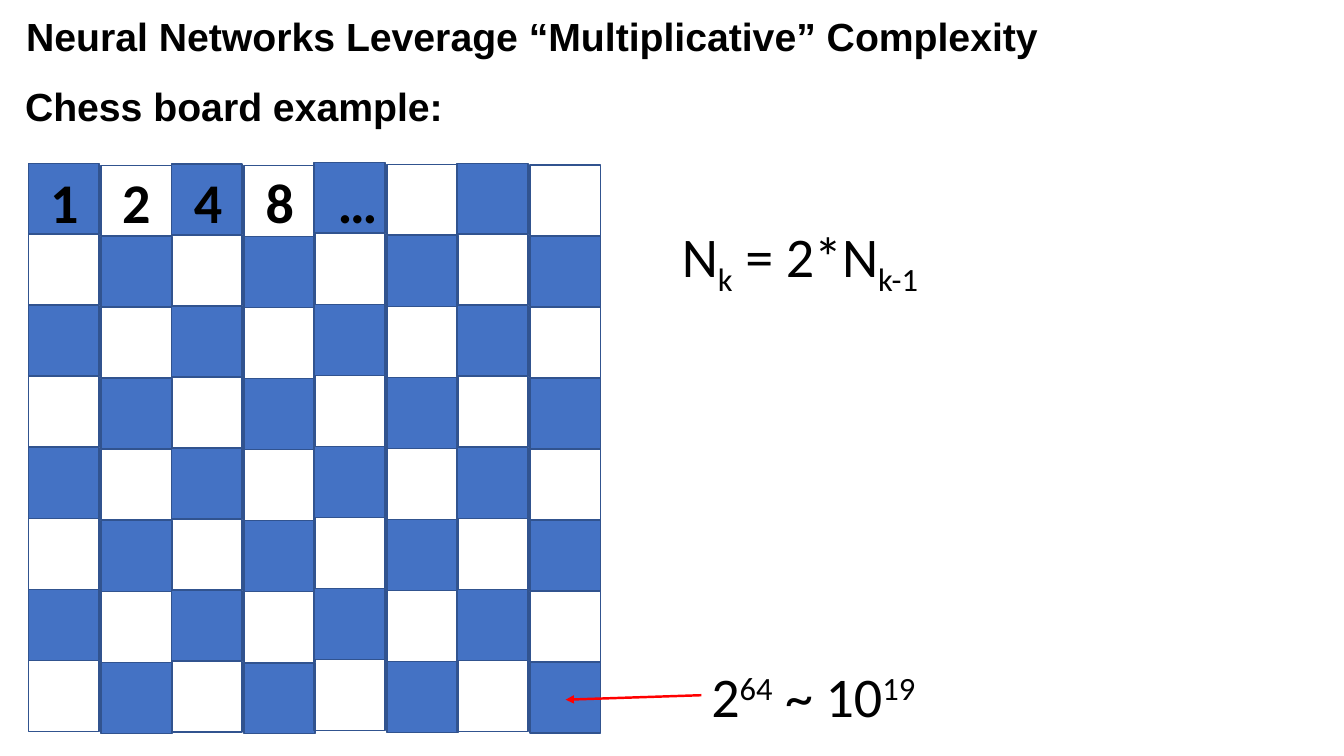
import pptx
import pptx.util
import pptx.dml.color
import pptx.enum.shapes
import pptx.enum.text
import pptx.oxml
import pptx.oxml.ns
from dataclasses import dataclass

Pt = pptx.util.Pt
Color = pptx.dml.color.RGBColor


@dataclass(frozen=True)
class Theme:
    heading_font: str = "Arial"
    body_font: str = "Calibri"
    heading_size: int = 28
    body_size: int = 40
    text: Color = Color(0, 0, 0)
    square: Color = Color(0x44, 0x72, 0xC4)
    outline: Color = Color(0x31, 0x53, 0x8F)
    arrow: Color = Color(0xFF, 0, 0)


theme = Theme()


def place(box, left, top, width, height):
    box.left, box.top, box.width, box.height = Pt(left), Pt(top), Pt(width), Pt(height)
    frame = box.text_frame
    frame.word_wrap = True
    frame.auto_size = pptx.enum.text.MSO_AUTO_SIZE.NONE
    frame.vertical_anchor = pptx.enum.text.MSO_ANCHOR.TOP
    return frame.paragraphs[0]


def style(para, font_name, size, bold):
    para.alignment = pptx.enum.text.PP_ALIGN.LEFT
    para.font.name = font_name
    para.font.size = Pt(size)
    para.font.bold = bold
    para.font.color.rgb = theme.text


deck = pptx.Presentation()
deck.slide_width, deck.slide_height = Pt(960), Pt(540)
page = deck.slides.add_slide(deck.slide_layouts.get_by_name("Title Only"))

# Title and subheading
subheading = page.shapes.add_textbox(0, 0, 0, 0)
for box, left, top, width, wording in [
    (page.shapes.title, 11.5, 5, 929, "Neural Networks Leverage “Multiplicative” Complexity"),
    (subheading, 10.8, 55.4, 541, "Chess board example:"),
]:
    para = place(box, left, top, width, 46)
    para.text = wording
    style(para, theme.heading_font, theme.heading_size, True)

# Chess board: each column sits slightly higher or lower than its neighbours
side, row_pitch, column_pitch = 50.6, 50.75, 51.05
column_tops = [116.6, 118, 117.1, 118.2, 116, 117.4, 116.6, 117.8]
for column, column_top in enumerate(column_tops):
    left = 20.2 + column * column_pitch + column % 2
    for row in range(8):
        square = page.shapes.add_shape(
            pptx.enum.shapes.MSO_SHAPE.RECTANGLE,
            Pt(left), Pt(column_top + row * row_pitch), Pt(side), Pt(side))
        square.shadow.inherit = False
        square.line.color.rgb = theme.outline
        square.line.width = Pt(1)
        if (row + column) % 2 == 0:
            square.fill.solid()
            square.fill.fore_color.rgb = theme.square
        else:
            square.fill.background()

# Doubling counts on the first row
for column, count in enumerate(["1", "2", "4", "8", "…"]):
    box = page.shapes.add_textbox(0, 0, 0, 0)
    para = place(box, 28.8 + column * 51.3, 116, 38, 55.7)
    para.text = count
    style(para, theme.body_font, theme.body_size, True)

# Formulas: each part is paired with its baseline shift in percent
formulas = [
    (480, 154.8, 307, [("N", 0), ("k", -25), (" = 2*N", 0), ("k-1", -25)]),
    (501, 468.7, 245, [("2", 0), ("64", 30), (" ~ 10", 0), ("19", 30)]),
]
for left, top, width, parts in formulas:
    box = page.shapes.add_textbox(0, 0, 0, 0)
    para = place(box, left, top, width, 55.7)
    style(para, theme.body_font, theme.body_size, False)
    for wording, shift in parts:
        span = para.add_run()
        span.text = wording
        if shift:
            span.font._element.set("baseline", str(shift * 1000))

# Arrow to the last square
arrow = page.shapes.add_connector(
    pptx.enum.shapes.MSO_CONNECTOR.STRAIGHT, Pt(501), Pt(496.6), Pt(404), Pt(499.8))
arrow.line.color.rgb = theme.arrow
arrow.line.width = Pt(1.75)
head = pptx.oxml.parse_xml(
    f'<a:tailEnd {pptx.oxml.ns.nsdecls("a")} type="triangle"/>')
arrow.line._get_or_add_ln().append(head)
arrow._element.spPr.append(
    pptx.oxml.parse_xml(f'<a:effectLst {pptx.oxml.ns.nsdecls("a")}/>'))

deck.save("out.pptx")
